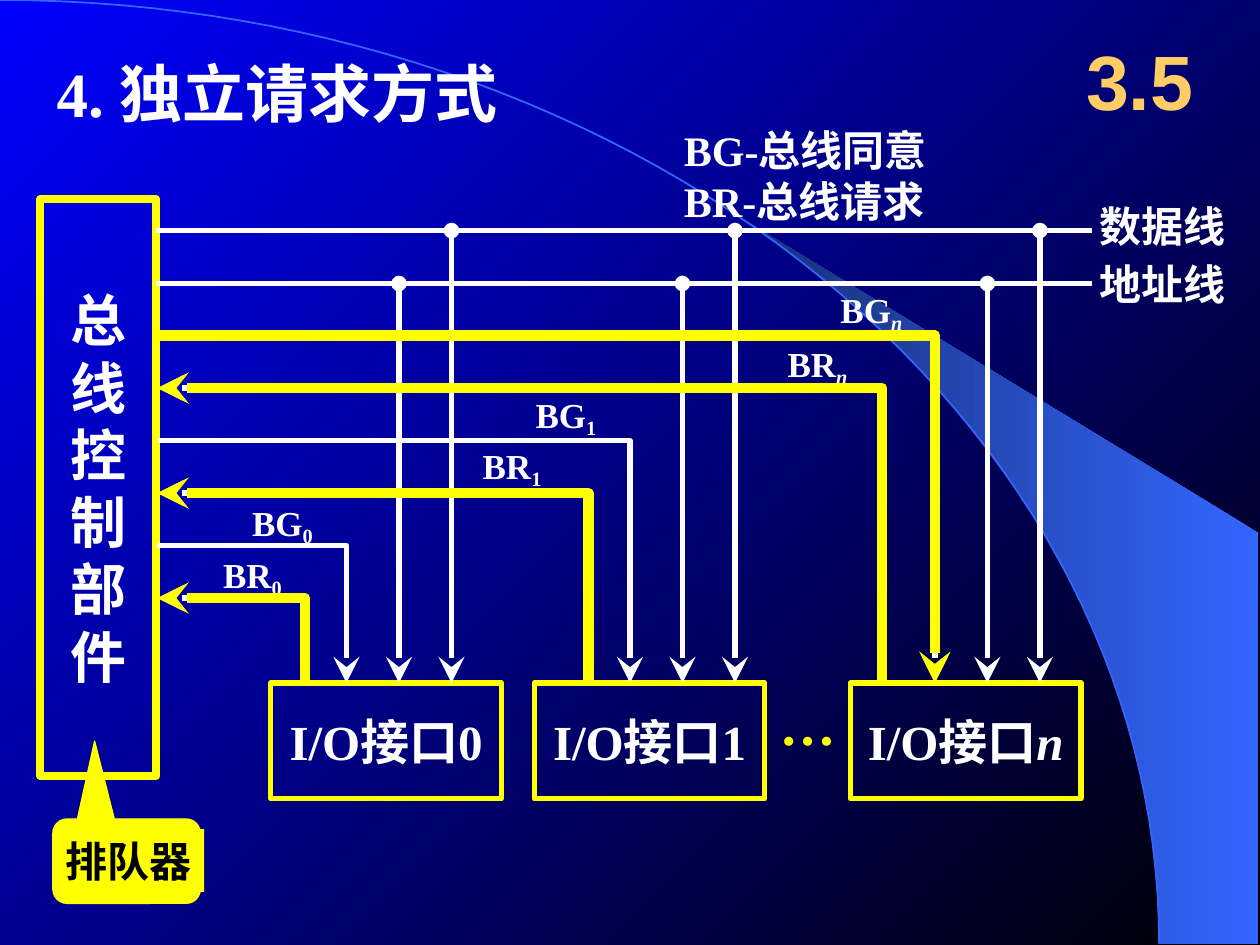
from math import asin, cos, pi, sin

from lxml import etree
from pptx import Presentation
from pptx.dml.color import RGBColor
from pptx.enum.shapes import MSO_CONNECTOR, MSO_SHAPE
from pptx.enum.text import MSO_ANCHOR, PP_ALIGN
from pptx.oxml.ns import qn
from pptx.util import Inches, Pt

RECTANGLE = MSO_SHAPE.RECTANGLE
CALLOUT = MSO_SHAPE.ROUNDED_RECTANGULAR_CALLOUT
STRAIGHT = MSO_CONNECTOR.STRAIGHT
TOP, MIDDLE = MSO_ANCHOR.TOP, MSO_ANCHOR.MIDDLE
LEFT, CENTER = PP_ALIGN.LEFT, PP_ALIGN.CENTER

COLORS = {"black": "000000", "white": "FFFFFF", "yellow": "FFFF00", "orange": "FFCC66",
          "blue": "0000FF", "sky": "3366FF", "navy": "172F75"}


def color(name):
    return RGBColor.from_string(COLORS[name])


class SlideBuilder:
    """Draws styled elements on one slide; all lengths are in inches."""

    font = "Times New Roman"

    def __init__(self, slide):
        self.slide = slide
        self.shapes = slide.shapes

    def gradient(self, fill, start, end, angle):
        fill.gradient()
        fill.gradient_angle = angle
        for stop, name in zip(fill.gradient_stops, (start, end)):
            stop.color.rgb = color(name)

    def outline(self, shape, name, width, head=None, tail=None, size="med"):
        shape.line.color.rgb = color(name)
        shape.line.width = Pt(width)
        line = shape._element.spPr.find(qn("a:ln"))
        etree.SubElement(line, qn("a:round"))
        for tag, kind in (("a:headEnd", head), ("a:tailEnd", tail)):
            if kind:
                end_size = "med" if kind == "oval" else size
                etree.SubElement(line, qn(tag), type=kind, w=end_size, len=end_size)

    def set_text(self, shape, lines, size, name="white", align=LEFT, anchor=TOP,
                 font=None, wrap=False, margins=(0.1, 0.05), space_before=0):
        """Fill a shape with paragraphs, each a list of (text, subscript, italic) runs."""
        frame = shape.text_frame
        frame.word_wrap = wrap
        frame.vertical_anchor = anchor
        frame.margin_left = frame.margin_right = Inches(margins[0])
        frame.margin_top = frame.margin_bottom = Inches(margins[1])
        for index, runs in enumerate(lines):
            paragraph = frame.add_paragraph() if index else frame.paragraphs[0]
            paragraph.alignment = align
            paragraph.space_before = Pt(space_before)
            paragraph.font.name = font or self.font
            paragraph.font.size = Pt(size)
            paragraph.font.bold = True
            paragraph.font.color.rgb = color(name)
            for text, subscript, italic in runs:
                run = paragraph.add_run()
                run.text = text
                if italic:
                    run.font.italic = True
                if subscript:
                    run._r.get_or_add_rPr().set("baseline", "-20000")

    def title(self, text, box, size):
        title = self.shapes.title
        title.left, title.top, title.width, title.height = map(Inches, box)
        self.shapes._spTree.append(title._element)  # bring in front of the decoration
        self.set_text(title, plain(text), size)

    def text(self, lines, box, size, **style):
        self.set_text(self.shapes.add_textbox(*map(Inches, box)), lines, size, **style)

    def shape(self, kind, box, fill=None, line=None, width=0.75):
        shape = self.shapes.add_shape(kind, *map(Inches, box))
        shape.shadow.inherit = False
        if fill:
            shape.fill.solid()
            shape.fill.fore_color.rgb = color(fill)
        else:
            shape.fill.background()
        if line:
            self.outline(shape, line, width)
        else:
            shape.line.fill.background()
        return shape

    def polyline(self, points, close=False):
        start, *rest = [(Inches(x), Inches(y)) for x, y in points]
        builder = self.shapes.build_freeform(*start)
        builder.add_line_segments(rest, close=close)
        shape = builder.convert_to_shape()
        shape.shadow.inherit = False
        shape.fill.background()
        return shape

    def wire(self, points, name, width, **ends):
        self.outline(self.polyline(points), name, width, **ends)

    def connector(self, start, end, **ends):
        connector = self.shapes.add_connector(STRAIGHT, *map(Inches, (*start, *end)))
        self.outline(connector, "white", 3, size="lg", **ends)
        etree.SubElement(connector._element.spPr, qn("a:effectLst"))


def plain(*lines):
    return [[(line, False, False)] for line in lines]


def arc_points(first, last, steps=60):
    """Points on the quarter ellipse that decorates the background."""
    angles = [first + (last - first) * step / steps for step in range(steps + 1)]
    return [(9.2 * sin(angle), 7.49 * (1 - cos(angle))) for angle in angles]


def draw_background(builder):
    builder.gradient(builder.slide.background.fill, "black", "blue", 135)
    edge = arc_points(asin(5.89 / 9.2), pi / 2)
    wedge = builder.polyline([(9.99, 7.49), (9.99, 4.23)] + edge, close=True)
    builder.gradient(wedge.fill, "sky", "navy", 180)
    wedge.line.fill.background()
    builder.wire(arc_points(0, pi / 2), "sky", 1)


def draw_bus(builder):
    controller = builder.shape(RECTANGLE, (0.32, 1.58, 0.92, 4.58), line="yellow", width=4.5)
    builder.set_text(controller, plain(*"总线控制部件"), 32, align=CENTER, anchor=MIDDLE)
    for name, label_top, y in (("数据线", 1.54, DATA_Y), ("地址线", 2, ADDRESS_Y)):
        builder.connector((1.24, y), (8.67, y))
        builder.text(plain(name), (8.63, label_top, 1.2, 0.5), 24)
    builder.text(plain("BG-总线同意", "BR-总线请求"), (5.33, 0.94, 2.58, 0.92), 24, wrap=True)


def draw_interfaces(builder):
    highlights = []
    for index, (name, left, request_x, grant_x, request_label, grant_label) in enumerate(INTERFACES):
        italic = name == "n"
        box = builder.shape(RECTANGLE, (left, BOX_TOP, 1.83, 0.92), line="yellow", width=3)
        builder.set_text(box, [[("I/O接口", False, False), (name, False, italic)]], 28,
                         align=CENTER, anchor=MIDDLE)
        grant_y = 4.33 - index * 2 * ROW_GAP
        signals = (("BG", grant_x, grant_y, grant_label, {"tail": "stealth"}),
                   ("BR", request_x, grant_y + ROW_GAP, request_label, {"head": "stealth"}))
        for signal, x, y, label, ends in signals:
            points = [(1.25, y), (x, y), (x, BOX_TOP)]
            builder.wire(points, "white", 3, size="lg", **ends)
            if signal == "BR" or italic:
                highlights.append((points, ends))
            builder.text([[(signal, False, False), (name, True, italic)]], (*label, 0.92, 0.37),
                         20, wrap=True, margins=(0, 0), space_before=12.5)
        for offset, y in ((1, ADDRESS_Y), (2, DATA_Y)):
            x = grant_x + offset * ROW_GAP
            builder.connector((x, y), (x, BOX_TOP), head="oval", tail="stealth")
    for points, ends in highlights:
        builder.wire(points, "yellow", 6, **ends)
    builder.text(plain("…"), (6.09, 5.42, 0.64, 0.64), 32, name="yellow")


def draw_callout(builder):
    callout = builder.shape(CALLOUT, (0.42, 6.5, 1.17, 0.67), fill="yellow", line="yellow")
    for index, value in enumerate((-0.217, -1.422, 0.167)):
        callout.adjustments[index] = value
    label = builder.shape(RECTANGLE, (0.42, 6.58, 1.2, 0.5), fill="yellow")
    builder.set_text(label, plain("排队器"), 24, name="black")


DATA_Y, ADDRESS_Y, BOX_TOP, ROW_GAP = 1.83, 2.25, 5.42, 5 / 12
# name, box left, request x, grant x, request label, grant label
INTERFACES = [
    ("0", 2.15, 2.42, 2.75, (1.77, 4.39), (2, 3.98)),
    ("1", 4.24, 4.67, 5, (3.83, 3.53), (4.25, 3.12)),
    ("n", 6.75, 7, 7.42, (6.25, 2.72), (6.67, 2.29)),
]


def main():
    presentation = Presentation()
    presentation.slide_width, presentation.slide_height = Inches(10), Inches(7.5)
    builder = SlideBuilder(presentation.slides.add_slide(presentation.slide_layouts[5]))
    draw_background(builder)
    builder.title("4. 独立请求方式", (0.35, 0.38, 3.82, 0.7), 36)
    draw_bus(builder)
    draw_interfaces(builder)
    draw_callout(builder)
    builder.text(plain("3.5"), (8.42, 0.17, 1.25, 0.92), 44, name="orange", font="Arial",
                 align=CENTER, anchor=MIDDLE, wrap=True)
    presentation.save("out.pptx")


if __name__ == "__main__":
    main()
